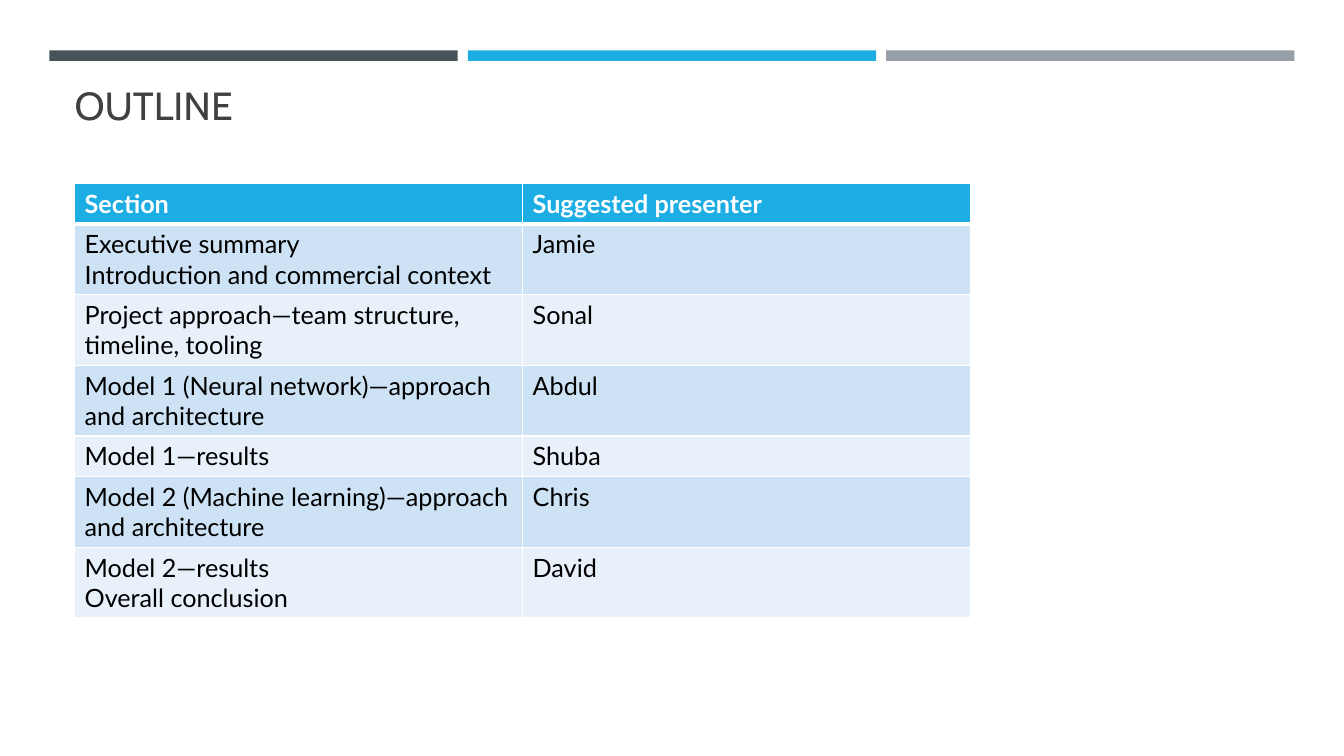
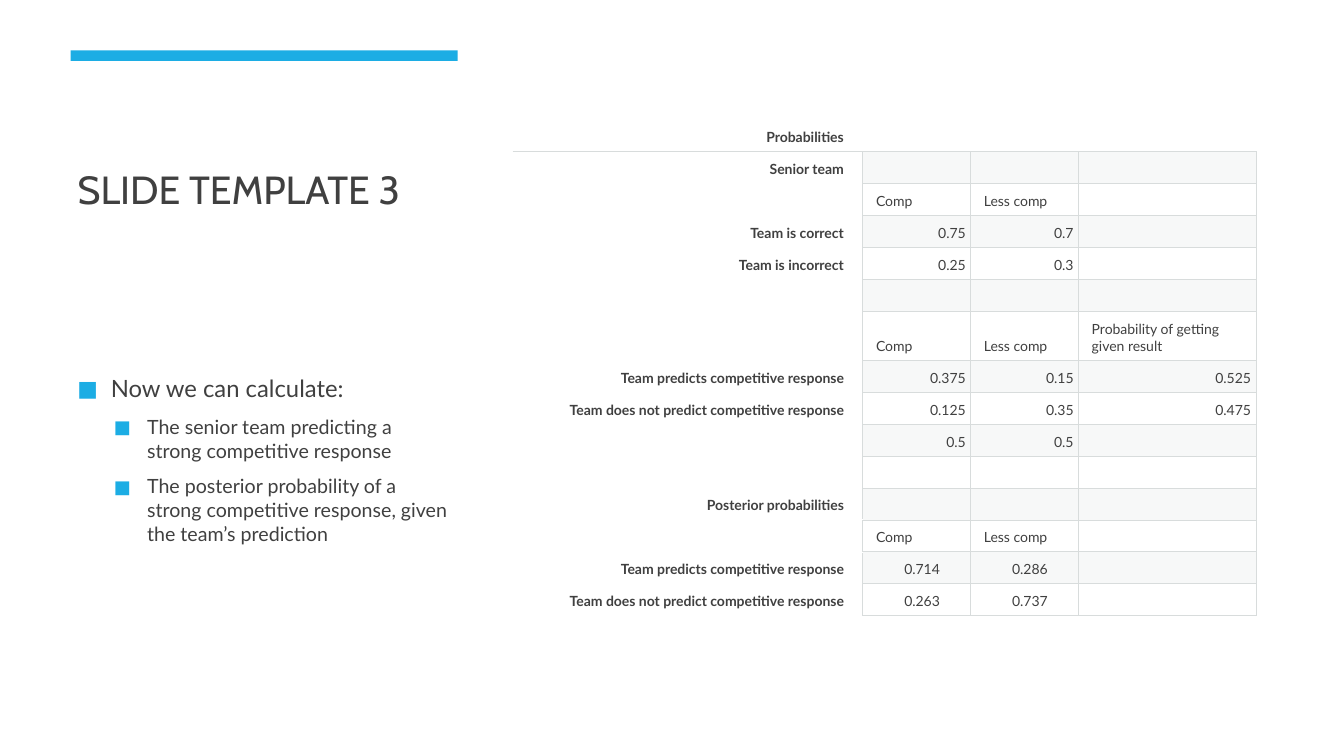
from dataclasses import dataclass, field
from typing import Any, NamedTuple

from lxml import etree
from pptx import Presentation
from pptx.dml.color import RGBColor
from pptx.enum import shapes, text
from pptx.oxml import ns
from pptx.util import Emu, Inches, Pt


@dataclass(frozen=True)
class Theme:
    slate: str = "465359"
    blue: str = "1CADE4"
    grey: str = "969FA7"
    ink: str = "404040"
    black: str = "000000"
    white: str = "FFFFFF"
    band_dark: str = "CDE3F5"
    band_light: str = "E8F1FA"
    rule: str = "D8DCDC"
    shade: str = "F7F8F8"
    heading: str = "Cabin"
    body: str = "Lato"
    title_size: float = 28
    outline_size: float = 18
    lead_size: float = 17
    point_size: float = 14
    figure_size: float = 10


THEME = Theme()
WIDTH, HEIGHT = Inches(13.33), Inches(7.5)


class Box(NamedTuple):
    """Left, top, width and height as percentages of the slide."""

    left: float
    top: float
    width: float
    height: float

    def emu(self) -> tuple[Emu, Emu, Emu, Emu]:
        sides = (WIDTH, HEIGHT, WIDTH, HEIGHT)
        return tuple(Emu(round(side * share / 100)) for side, share in zip(sides, self))


class Band(NamedTuple):
    column: int
    color: str
    inset: float = 0


class Edge(NamedTuple):
    color: str
    points: float


class Point(NamedTuple):
    text: str
    level: int = 0


class Figures(NamedTuple):
    label: str = ""
    values: tuple[str, ...] = ()
    indented: bool = False
    weight: int = 13


@dataclass
class Cell:
    text: str
    size: float
    color: str
    bold: bool = False
    fill: str | None = None
    edges: dict[str, Edge] = field(default_factory=dict)
    align: Any = text.PP_ALIGN.LEFT
    frame: dict[str, Any] = field(default_factory=dict)


def apply(target: Any, **values: Any) -> None:
    for name, value in values.items():
        setattr(target, name, value)


def style_font(font: Any, size: float, color: str, name: str = THEME.body, bold: bool = False) -> None:
    apply(font, size=Pt(size), name=name, bold=bold)
    font.color.rgb = RGBColor.from_string(color)


def add_title(slide: Any, words: str, box: Box, anchor: Any) -> None:
    title = slide.shapes.title
    left, top, width, height = box.emu()
    apply(title, left=left, top=top, width=width, height=height)
    frame = title.text_frame
    apply(frame, text=words, word_wrap=True, auto_size=text.MSO_AUTO_SIZE.NONE, vertical_anchor=anchor)
    heading = frame.paragraphs[0]
    apply(heading, alignment=text.PP_ALIGN.LEFT, line_spacing=0.9)
    style_font(heading.runs[0].font, THEME.title_size, THEME.ink, THEME.heading)


def add_bands(slide: Any, bands: list[Band]) -> None:
    margin, width, gap = 3.68, 30.38, 0.75
    for band in bands:
        left = margin + band.column * (width + gap) + band.inset
        bar = slide.shapes.add_shape(
            shapes.MSO_SHAPE.RECTANGLE, *Box(left, 6.67, width - band.inset, 1.4).emu()
        )
        bar.shadow.inherit = False
        bar.fill.solid()
        bar.fill.fore_color.rgb = RGBColor.from_string(band.color)
        bar.line.fill.background()


def add_points(slide: Any, box: Box, points: list[Point]) -> None:
    frame = slide.shapes.add_textbox(*box.emu()).text_frame
    apply(frame, word_wrap=True, vertical_anchor=text.MSO_ANCHOR.MIDDLE)
    for index, point in enumerate(points):
        line = frame.add_paragraph() if index else frame.paragraphs[0]
        size = THEME.point_size if point.level else THEME.lead_size
        apply(
            line,
            text=point.text,
            level=point.level,
            line_spacing=1.0 if point.level else 1.1,
            space_before=Pt(size * 0.2),
            space_after=Pt(6),
        )
        style_font(line.runs[0].font, size, THEME.ink)
        props = line._p.get_or_add_pPr()
        props.set("marL", str(Inches(0.33 + 0.36 * point.level)))
        props.set("indent", str(-Inches(0.33)))
        bullet_color = etree.SubElement(props, ns.qn("a:buClr"))
        etree.SubElement(bullet_color, ns.qn("a:srgbClr"), val=THEME.blue)
        etree.SubElement(props, ns.qn("a:buSzPct"), val="92000")
        etree.SubElement(props, ns.qn("a:buFont"), typeface=THEME.body)
        etree.SubElement(props, ns.qn("a:buChar"), char="■")


def draw_edges(target: Any, edges: dict[str, Edge]) -> None:
    props = target._tc.get_or_add_tcPr()
    for side in "LRTB":
        if side in edges:
            edge = edges[side]
            line = etree.SubElement(props, ns.qn(f"a:ln{side}"), w=str(Pt(edge.points)))
            paint = etree.SubElement(line, ns.qn("a:solidFill"))
            etree.SubElement(paint, ns.qn("a:srgbClr"), val=edge.color)


def fill_cell(target: Any, cell: Cell) -> None:
    draw_edges(target, cell.edges)
    if cell.fill:
        target.fill.solid()
        target.fill.fore_color.rgb = RGBColor.from_string(cell.fill)
    else:
        target.fill.background()
    target.text_frame.text = cell.text
    apply(target, **cell.frame)
    for line in target.text_frame.paragraphs:
        line.alignment = cell.align
        for run in line.runs:
            style_font(run.font, cell.size, cell.color, bold=cell.bold)
        if not line.runs:
            etree.SubElement(line._p, ns.qn("a:endParaRPr"), sz=str(round(cell.size * 100)))


def draw_table(slide: Any, box: Box, columns: list[float], rows: list[float], cells: list[list[Cell]]) -> None:
    left, top, width, height = box.emu()
    table = slide.shapes.add_table(len(rows), len(columns), left, top, width, height).table
    apply(table, first_row=False, horz_banding=False)
    for column, share in zip(table.columns, columns):
        column.width = Emu(round(width * share / sum(columns)))
    for row, share in zip(table.rows, rows):
        row.height = Emu(round(height * share / sum(rows)))
    for r, line in enumerate(cells):
        for c, cell in enumerate(line):
            fill_cell(table.cell(r, c), cell)


def outline_cell(row: int, words: str) -> Cell:
    edges = {side: Edge(THEME.white, 1) for side in "LRTB"}
    if row < 2:
        edges["T" if row else "B"] = Edge(THEME.white, 3)
    if row == 0:
        return Cell(words, THEME.outline_size, THEME.white, True, THEME.blue, edges)
    fill = THEME.band_dark if row % 2 else THEME.band_light
    return Cell(words, THEME.outline_size, THEME.black, False, fill, edges)


def figure_cell(row: int, column: int, words: str, indented: bool) -> Cell:
    if row == 0:
        sides = "B"
    elif column == 0:
        sides = "RT" if row == 1 else "R"
    else:
        sides = "LRTB"
    is_label = column == 0
    is_number = words[:1].isdigit()
    flush_right = is_label or (is_number and not indented)
    return Cell(
        words,
        THEME.figure_size,
        THEME.ink,
        bold=is_label,
        fill=THEME.shade if row % 2 and not is_label else None,
        edges={side: Edge(THEME.rule, 0.75) for side in sides},
        align=text.PP_ALIGN.RIGHT if flush_right else text.PP_ALIGN.LEFT,
        frame=dict(
            vertical_anchor=text.MSO_ANCHOR.BOTTOM,
            margin_left=Inches(0.41 if is_number and indented else 0.13),
            margin_right=Inches(0.19 if is_label else 0.05),
            margin_top=Inches(0.06),
            margin_bottom=Inches(0.06),
        ),
    )


OUTLINE = [
    ("Section", "Suggested presenter"),
    ("Executive summary\nIntroduction and commercial context", "Jamie"),
    ("Project approach—team structure, timeline, tooling", "Sonal"),
    ("Model 1 (Neural network)—approach and architecture", "Abdul"),
    ("Model 1—results", "Shuba"),
    ("Model 2 (Machine learning)—approach and architecture", "Chris"),
    ("Model 2—results\nOverall conclusion", "David"),
]
OUTLINE_ROWS = [4, 7, 7, 7, 4, 7, 7]

OUTCOMES = ("Comp", "Less comp")
PREDICTED = "Team predicts competitive response"
NOT_PREDICTED = "Team does not predict competitive response"
PROBABILITIES = [
    Figures("Probabilities"),
    Figures("Senior team"),
    Figures(values=OUTCOMES),
    Figures("Team is correct", ("0.75", "0.7")),
    Figures("Team is incorrect", ("0.25", "0.3")),
    Figures(),
    Figures(values=(*OUTCOMES, "Probability of getting given result"), weight=20),
    Figures(PREDICTED, ("0.375", "0.15", "0.525")),
    Figures(NOT_PREDICTED, ("0.125", "0.35", "0.475")),
    Figures(values=("0.5", "0.5")),
    Figures(),
    Figures("Posterior probabilities"),
    Figures(values=OUTCOMES),
    Figures(PREDICTED, ("0.714", "0.286"), indented=True),
    Figures(NOT_PREDICTED, ("0.263", "0.737"), indented=True),
]
POINTS = [
    Point("Now we can calculate:"),
    Point("The senior team predicting a strong competitive response", 1),
    Point("The posterior probability of a strong competitive response, given the team’s prediction", 1),
]


def build_outline(slide: Any) -> None:
    add_bands(slide, [Band(0, THEME.slate), Band(1, THEME.blue), Band(2, THEME.grey)])
    add_title(slide, "OUTLINE", Box(4.8, 10.27, 90.45, 7.87), text.MSO_ANCHOR.MIDDLE)
    cells = [[outline_cell(r, words) for words in row] for r, row in enumerate(OUTLINE)]
    draw_table(slide, Box(5.55, 24.27, 66.67, 57.47), [1, 1], OUTLINE_ROWS, cells)


def build_probabilities(slide: Any) -> None:
    add_bands(slide, [Band(0, THEME.blue, 1.58)])
    add_title(slide, "SLIDE TEMPLATE 3", Box(5.03, 10.27, 29.25, 18.53), text.MSO_ANCHOR.BOTTOM)
    add_points(slide, Box(5.03, 34.13, 29.25, 52.93), POINTS)
    columns = [3.47, 1.07, 1.07, 1.76]
    cells = []
    for r, row in enumerate(PROBABILITIES):
        blanks = ("",) * (len(columns) - 1 - len(row.values))
        line = (row.label, *row.values, *blanks)
        cells.append([figure_cell(r, c, words, row.indented) for c, words in enumerate(line)])
    weights = [row.weight for row in PROBABILITIES]
    draw_table(slide, Box(38.18, 15.87, 55.28, 65.6), columns, weights, cells)


def main() -> None:
    deck = Presentation()
    apply(deck, slide_width=WIDTH, slide_height=HEIGHT)
    title_only = deck.slide_layouts[5]
    for build in (build_outline, build_probabilities):
        build(deck.slides.add_slide(title_only))
    deck.save("out.pptx")


if __name__ == "__main__":
    main()
